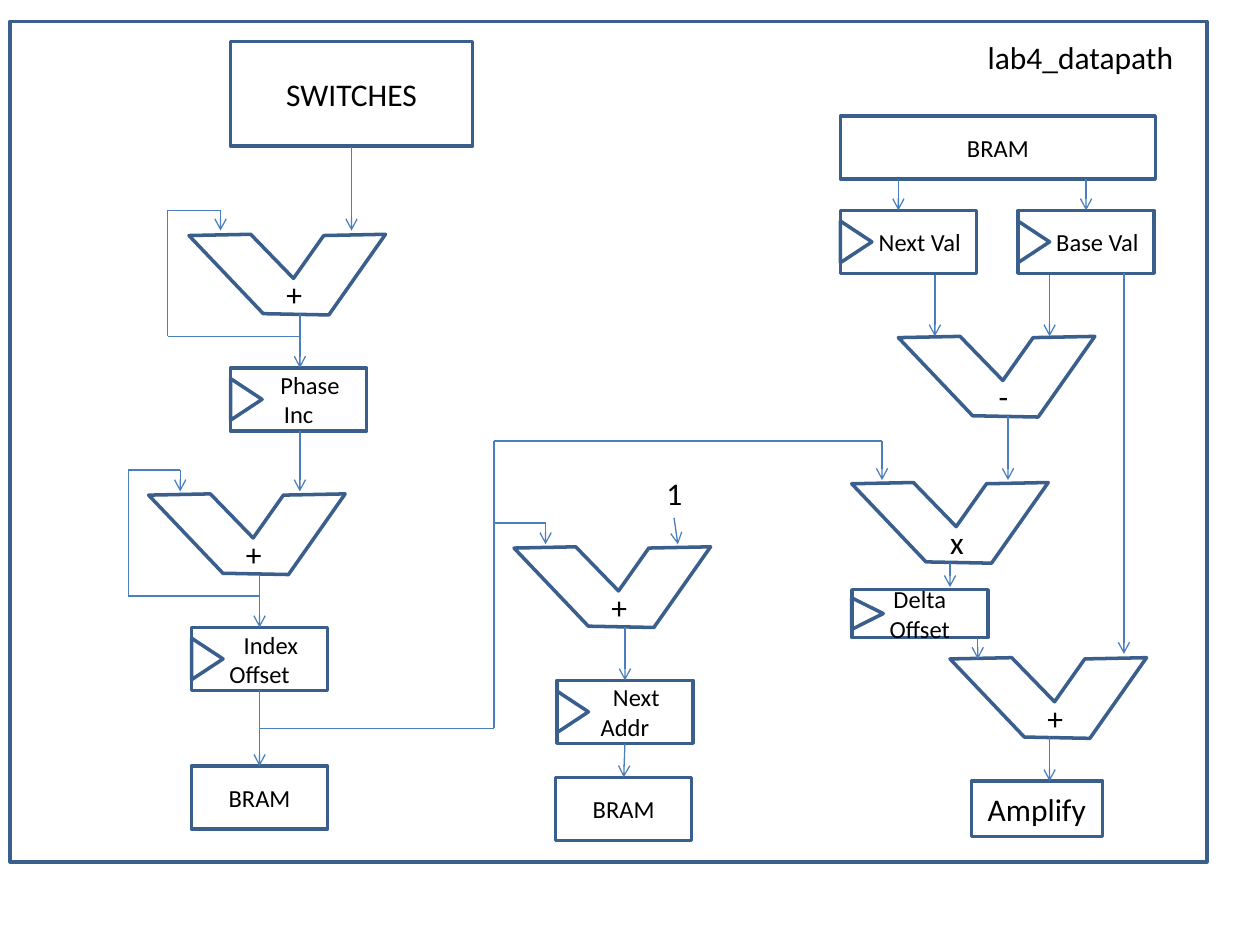
from lxml.etree import SubElement
from pptx import Presentation
from pptx.dml.color import RGBColor
from pptx.enum.shapes import MSO_CONNECTOR, MSO_SHAPE
from pptx.enum.text import MSO_ANCHOR, PP_ALIGN
from pptx.oxml.ns import qn
from pptx.util import Cm, Pt

OUTLINE = RGBColor(0x3A, 0x5F, 0x8C)
WIRE = RGBColor(0x4B, 0x7E, 0xBC)
BLACK = RGBColor(0, 0, 0)
FONT = "Calibri"
GRID = 2.54  # centimetres in one grid unit

# Places are in grid units: left, top, width, height
FRAME = (0.08, 0.17, 9.5, 6.67)
BLOCKS = [  # text, place, text size
    ("SWITCHES", (1.83, 0.33, 1.92, 0.83), 18),
    ("BRAM", (1.52, 6.08, 1.08, 0.5), 14),
    ("BRAM", (4.41, 6.17, 1.08, 0.5), 14),
    ("BRAM", (6.67, 0.92, 2.5, 0.5), 14),
    ("Amplify", (7.71, 6.2, 1.04, 0.44), 18),
]
REGISTERS = [  # text, place, clock height, first-line indent
    ("Phase Inc", (1.83, 2.92, 1.08, 0.5), 0.33, 0.18),
    ("Index Offset", (1.52, 4.98, 1.08, 0.5), 0.33, 0.18),
    ("Next Addr", (4.42, 5.4, 1.08, 0.5), 0.33, 0.18),
    ("Next Val", (6.67, 1.67, 1.08, 0.5), 0.33, 0.18),
    ("Base Val", (8.08, 1.67, 1.08, 0.5), 0.33, 0.18),
    ("Delta Offset", (6.76, 4.68, 1.08, 0.38), 0.25, 0),
]
CLOCK_DEPTH = 0.25
OPERATORS = [  # sign, left, top
    ("+", 1.5, 1.86), ("+", 1.18, 3.92), ("+", 4.08, 4.34),
    ("-", 7.13, 2.67), ("x", 6.76, 3.83), ("+", 7.54, 5.22),
]
OPERATOR_OUTLINE = [(0, 0.01), (0.49, 0), (0.83, 0.35), (1.07, 0.01),
                    (1.56, 0), (1.11, 0.64), (0.59, 0.63)]
LABELS = [("1", (5.19, 3.71, 0.33, 0.4)),
          ("lab4_datapath", (7.74, 0.25, 1.75, 0.4))]
ARROWS = [  # corner points; the last leg carries the head
    [(2.79, 1.17), (2.79, 1.83)],
    [(2.38, 2.49), (2.38, 2.92)],
    [(2.38, 2.67), (1.33, 2.67), (1.33, 1.67), (1.75, 1.67), (1.75, 1.83)],
    [(2.38, 3.42), (2.38, 3.9)],
    [(2.06, 4.56), (2.06, 4.98)],
    [(2.06, 4.73), (1.02, 4.73), (1.02, 3.73), (1.43, 3.73), (1.43, 3.9)],
    [(2.06, 5.48), (2.06, 6.08)],
    [(2.06, 5.78), (3.92, 5.78), (3.92, 4.15), (4.33, 4.15), (4.33, 4.32)],
    [(3.92, 4.15), (3.92, 3.5), (7, 3.5), (7, 3.81)],
    [(5.35, 4.11), (5.38, 4.32)],
    [(4.96, 4.98), (4.96, 5.4)],
    [(4.96, 5.9), (4.95, 6.17)],
    [(7.13, 1.42), (7.13, 1.67)],
    [(8.62, 1.42), (8.62, 1.67)],
    [(7.42, 2.18), (7.42, 2.67)],
    [(8.33, 2.18), (8.33, 2.67)],
    [(8, 3.3), (8, 3.81)],
    [(8.92, 2.17), (8.92, 5.19)],
    [(7.54, 4.47), (7.54, 4.66)],
    [(7.76, 5.06), (7.76, 5.23)],
    [(8.33, 5.85), (8.33, 6.2)],
]


def on_grid(*values):
    """Turn grid units into lengths."""
    return [Cm(value * GRID) for value in values]


def outline(shape):
    """Leave a shape hollow with the standard outline."""
    shape.shadow.inherit = False
    shape.fill.background()
    shape.line.color.rgb = OUTLINE
    shape.line.width = Pt(2)
    return shape


def write(shape, text, size, align=PP_ALIGN.CENTER, anchor=MSO_ANCHOR.MIDDLE):
    """Put one paragraph into a shape and return it."""
    frame = shape.text_frame
    frame.word_wrap = True
    frame.vertical_anchor = anchor
    paragraph = frame.paragraphs[0]
    paragraph.text = text
    paragraph.alignment = align
    font = paragraph.font
    font.name, font.size, font.color.rgb = FONT, Pt(size), BLACK
    return paragraph


def add_box(shapes, place):
    """Add a hollow rectangle."""
    return outline(shapes.add_shape(MSO_SHAPE.RECTANGLE, *on_grid(*place)))


def add_register(shapes, text, place, clock_height, indent):
    """Group a labelled box with the clock triangle on its left edge."""
    group = shapes.add_group_shape().shapes
    paragraph = write(add_box(group, place), text, 14)
    if indent:
        paragraph._p.get_or_add_pPr().set("indent", str(on_grid(indent)[0]))
    left, top, _, height = place
    clock_left = left + (CLOCK_DEPTH - clock_height) / 2
    clock_top = top + (height - CLOCK_DEPTH) / 2
    clock = outline(group.add_shape(
        MSO_SHAPE.ISOSCELES_TRIANGLE,
        *on_grid(clock_left, clock_top, clock_height, CLOCK_DEPTH)))
    clock.rotation = 90


def add_operator(shapes, sign, left, top):
    """Draw a notched arithmetic unit with its sign below the notch."""
    points = [on_grid(left + x, top + y) for x, y in OPERATOR_OUTLINE]
    builder = shapes.build_freeform(*points[0])
    builder.add_line_segments(points[1:], close=True)
    unit = outline(builder.convert_to_shape())
    write(unit, sign, 18)
    frame = unit.text_frame
    frame.margin_left, frame.margin_top = on_grid(0.11, 0.31)
    frame.margin_right = frame.margin_bottom = 0


def add_arrow(shapes, corners):
    """Join corner points with lines and put a head on the last one."""
    for start, end in zip(corners, corners[1:]):
        leg = shapes.add_connector(MSO_CONNECTOR.STRAIGHT, *on_grid(*start, *end))
        leg.line.color.rgb = WIRE
        leg.line.width = Pt(0.75)
        SubElement(leg._element.spPr, qn("a:effectLst"))
    SubElement(leg.line._get_or_add_ln(), qn("a:tailEnd"), type="arrow")


deck = Presentation()
deck.slide_width, deck.slide_height = on_grid(10, 7.5)
shapes = deck.slides.add_slide(deck.slide_layouts[6]).shapes

add_box(shapes, FRAME)
for text, place, size in BLOCKS:
    write(add_box(shapes, place), text, size)
for register in REGISTERS:
    add_register(shapes, *register)
for operator in OPERATORS:
    add_operator(shapes, *operator)
for text, place in LABELS:
    write(shapes.add_textbox(*on_grid(*place)), text, 18, PP_ALIGN.LEFT, MSO_ANCHOR.TOP)
for corners in ARROWS:
    add_arrow(shapes, corners)

deck.save("out.pptx")
